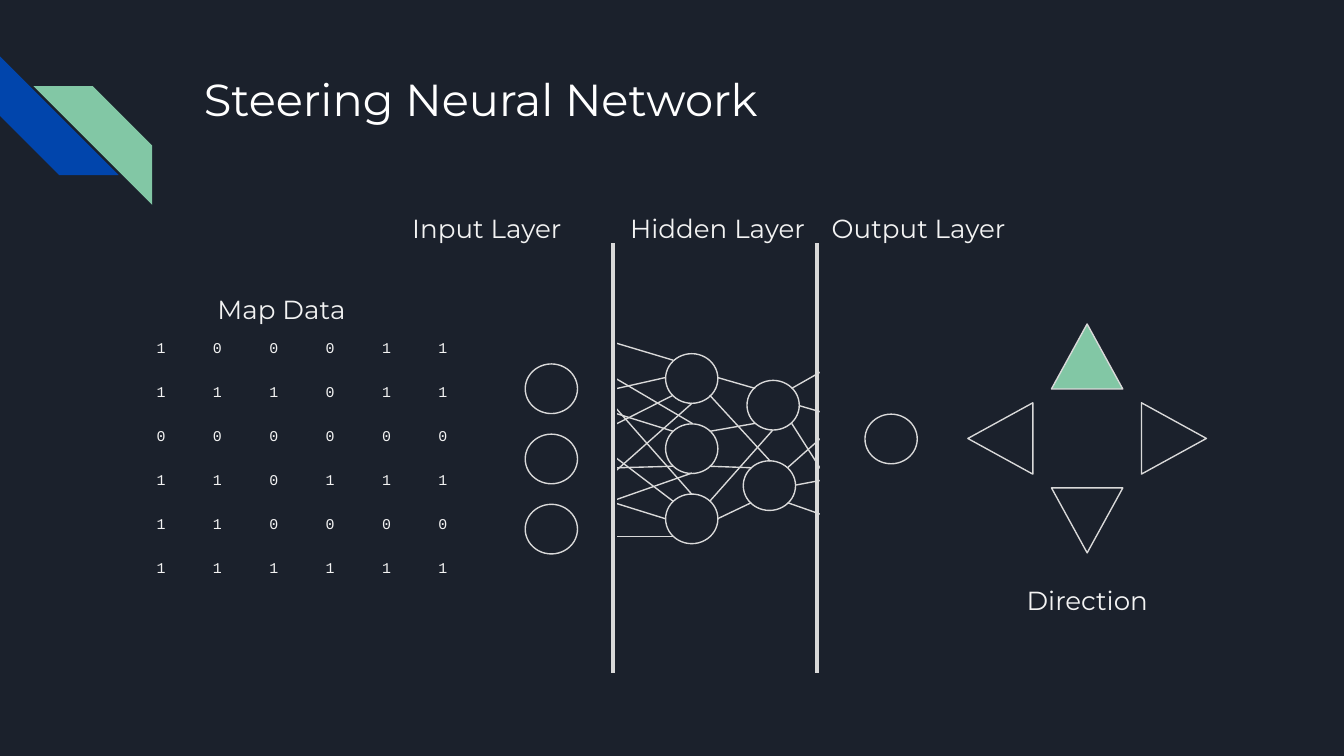
from pptx import Presentation
from pptx.dml.color import RGBColor
from pptx.enum.shapes import MSO_CONNECTOR as Link, MSO_SHAPE as Form
from pptx.enum.text import PP_ALIGN as Align
from pptx.oxml.ns import qn
from pptx.util import Pt

rgb = RGBColor.from_string
DARK, BLUE, MINT, GREY, PALE, WHITE = "1B212C", "0145AC", "82C7A5", "D9D9D9", "F3F3F3", "FFFFFF"

deck = Presentation()
deck.slide_width, deck.slide_height = Pt(720), Pt(405)
slide = deck.slides.add_slide(deck.slide_layouts[6])
slide.background.fill.solid()
slide.background.fill.fore_color.rgb = rgb(DARK)


def draw(form, mid, size, fill=None, edge=None, turn=0):
    """Place a preset shape by its centre."""
    (x, y), (w, h) = mid, size
    item = slide.shapes.add_shape(form, Pt(x - w / 2), Pt(y - h / 2), Pt(w), Pt(h))
    item.shadow.inherit = False
    item.rotation = turn
    if fill:
        item.fill.solid()
        item.fill.fore_color.rgb = rgb(fill)
    else:
        item.fill.background()
    if edge:
        item.line.color.rgb = rgb(edge)
        item.line.width = Pt(0.75)
    else:
        item.line.fill.background()
    return item


def wire(x1, y1, x2, y2, width=0.75):
    item = slide.shapes.add_connector(Link.STRAIGHT, Pt(x1), Pt(y1), Pt(x2), Pt(y2))
    item.line.color.rgb = rgb(GREY)
    item.line.width = Pt(width)
    props = item._element.spPr
    props.append(props.makeelement(qn("a:effectLst"), {}))


# Corner stripes
draw(Form.DIAGONAL_STRIPE, (31.8, 62), (63.6, 63.6), BLUE, turn=270)
stripe = draw(Form.DIAGONAL_STRIPE, (49.8, 78), (63.6, 63.6), MINT)
stripe._element.spPr.xfrm.set("flipH", "1")

# Network links: into, inside and out of the hidden layer
links = [
    (305.3, 287.3, 360.7, 287.3), (301, 277.9, 370.8, 253.4),
    (301, 260.6, 356.4, 277.9), (301, 277.9, 370.8, 216),
    (305.3, 251.3, 360.7, 249.8), (301, 241.9, 360.7, 211.7),
    (301, 223.2, 360.7, 268.6), (305.3, 213.8, 360.7, 231.1),
    (301, 185.8, 370.8, 265), (305.3, 213.8, 356.4, 202.3),
    (301, 185.8, 370.8, 226.8), (305.3, 176.4, 360.7, 193),
    (384.5, 202.3, 404.6, 208.1), (380.2, 231.1, 404.6, 226.8),
    (380.2, 249.8, 402.5, 250.6), (384.5, 277.9, 402.5, 269.3),
    (380.2, 211.7, 412.6, 247), (380.2, 268.6, 414, 230.4),
    (428.4, 217.4, 460.8, 226.8), (424.1, 226.8, 450.7, 268.6),
    (426.2, 259.9, 460.8, 253.4), (421.9, 269.3, 446.4, 277.9),
    (421.9, 250.6, 460.8, 216), (424.1, 208.1, 450.7, 193),
]
for link in links:
    wire(*link)

# Panels that trim the links, then the layer dividers
for mid in [(297.8, 235.4), (472, 241.2)]:
    draw(Form.RECTANGLE, mid, (65.5, 205.9), DARK)
for x in (328.3, 437.8):
    wire(x, 130.3, x, 360.7, 2.25)

# Neurons
nodes = [(x, top + 37.6 * i) for x, top in [(295.4, 208.3), (370.6, 202.8)] for i in range(3)]
nodes += [(414.2, 217.1), (412.2, 260.2), (477.4, 235.2)]
for node in nodes:
    draw(Form.OVAL, node, (28, 26.6), edge=GREY)

# Direction arrows, clockwise from the top
for i, (dx, dy) in enumerate([(0, -1), (1, 0), (0, 1), (-1, 0)]):
    mid = (582.4 + 46.5 * dx, 234.9 + 43.9 * dy)
    draw(Form.ISOSCELES_TRIANGLE, mid, (38.2, 34.8), None if i else MINT, GREY, 90 * i)

# Map data grid
grid = ["100011", "111011", "000000", "110111", "110000", "111111"]
frame = slide.shapes.add_table(6, 6, Pt(71.2), Pt(175.7), Pt(181.2), Pt(120))
table = frame.table
table.first_row = table.horz_banding = False
plain = "{2D5ABB26-0587-4C30-8999-92F81FD0307C}"  # no style, no grid
table._tbl.tblPr.find(qn("a:tableStyleId")).text = plain
for col in table.columns:
    col.width = Pt(30.2)
pad = {f"margin_{side}": Pt(7.2) for side in ("left", "right", "top", "bottom")}
for r, bits in enumerate(grid):
    table.rows[r].height = Pt(20)
    for c, bit in enumerate(bits):
        cell = table.cell(r, c)
        cell.fill.background()
        for key, val in pad.items():
            setattr(cell, key, val)
        para = cell.text_frame.paragraphs[0]
        para.alignment = Align.CENTER
        run = para.add_run()
        run.text = bit
        for key, val in {"name": "Courier New", "size": Pt(8)}.items():
            setattr(run.font, key, val)
        run.font.color.rgb = rgb(PALE)

# Title and captions
words = [
    ("Steering Neural Network", (102.2, 31, 554.4, 72), 24, WHITE, Align.LEFT),
    ("Input Layer", (213.8, 106.6, 115.2, 30.2), 14, PALE, Align.LEFT),
    ("Hidden Layer", (330.5, 106.6, 108.7, 30.2), 14, PALE, Align.LEFT),
    ("Output Layer", (438.5, 106.6, 108.7, 30.2), 14, PALE, Align.LEFT),
    ("Map Data", (109.4, 149.8, 104.4, 26.6), 14, PALE, Align.LEFT),
    ("Direction", (518.4, 306, 128.2, 30.2), 14, PALE, Align.CENTER),
]
for text, box, size, tint, align in words:
    body = slide.shapes.add_textbox(*map(Pt, box)).text_frame
    for key, val in {"word_wrap": True, **pad}.items():
        setattr(body, key, val)
    para = body.paragraphs[0]
    para.alignment = align
    run = para.add_run()
    run.text = text
    for key, val in {"name": "Montserrat", "size": Pt(size)}.items():
        setattr(run.font, key, val)
    run.font.color.rgb = rgb(tint)

deck.save("out.pptx")
